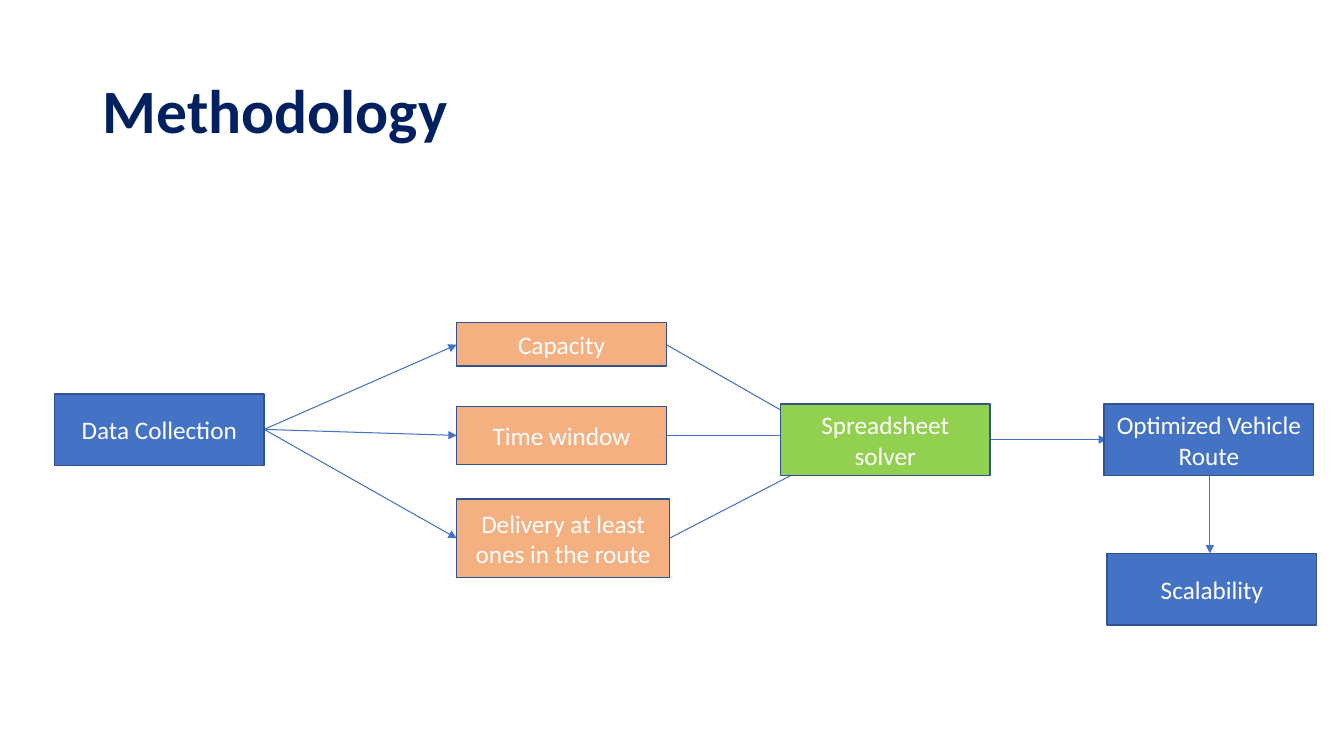
from lxml.etree import SubElement
from pptx import Presentation
from pptx.dml.color import RGBColor
from pptx.enum.shapes import MSO_CONNECTOR, MSO_SHAPE
from pptx.enum.text import MSO_ANCHOR, PP_ALIGN
from pptx.oxml.ns import qn
from pptx.util import Pt

PX = 9144
COLORS = {
    "navy": "002060",
    "blue": "4472C4",
    "orange": "F4B081",
    "green": "92D050",
    "border": "31538F",
    "white": "FFFFFF",
}


def color(name):
    return RGBColor.from_string(COLORS[name])


def write(shape, text, align, spacing, font_format, font_color):
    frame = shape.text_frame
    frame.word_wrap = True
    frame.vertical_anchor = MSO_ANCHOR.MIDDLE
    para = frame.paragraphs[0]
    para.alignment = align
    para.line_spacing = spacing
    span = para.add_run()
    span.text = text
    for name, value in font_format.items():
        setattr(span.font, name, value)
    span.font.color.rgb = color(font_color)


deck = Presentation()
deck.slide_width = 1333 * PX
deck.slide_height = 750 * PX
page = deck.slides.add_slide(deck.slide_layouts[6])

title = page.shapes.add_textbox(92 * PX, 40 * PX, 1150 * PX, 145 * PX)
title_format = {"name": "Calibri", "size": Pt(44), "bold": True}
write(title, "Methodology", PP_ALIGN.LEFT, 0.9, title_format, "navy")

arrows = [
    (262, 426, 453, 342),
    (262, 426, 453, 432),
    (262, 426, 453, 534),
    (661, 342, 808, 426),
    (661, 432, 808, 432),
    (664, 534, 811, 458),
    (982, 436, 1098, 436),
    (1200, 471, 1200, 549),
]
for ends in arrows:
    arrow = page.shapes.add_connector(MSO_CONNECTOR.STRAIGHT, *[end * PX for end in ends])
    arrow.line.color.rgb = color("blue")
    arrow.line.width = Pt(0.75)
    SubElement(arrow.line._get_or_add_ln(), qn("a:tailEnd"), type="triangle")
    SubElement(arrow._element.spPr, qn("a:effectLst"))

steps = [
    ("Data Collection", 54, 391, 208, 71, "blue"),
    ("Capacity", 453, 320, 208, 43, "orange"),
    ("Time window", 453, 403, 208, 58, "orange"),
    ("Delivery at least ones in the route", 453, 495, 211, 78, "orange"),
    ("Spreadsheet solver", 774, 401, 208, 71, "green"),
    ("Optimized Vehicle Route", 1095, 401, 208, 71, "blue"),
    ("Scalability", 1098, 549, 208, 71, "blue"),
]
step_format = {"name": "Calibri", "size": Pt(18)}
for text, left, top, width, height, fill in steps:
    box = page.shapes.add_shape(
        MSO_SHAPE.RECTANGLE, left * PX, top * PX, width * PX, height * PX
    )
    box.shadow.inherit = False
    box.fill.solid()
    box.fill.fore_color.rgb = color(fill)
    box.line.color.rgb = color("border")
    box.line.width = Pt(1)
    write(box, text, PP_ALIGN.CENTER, 1.0, step_format, "white")

deck.save("out.pptx")
